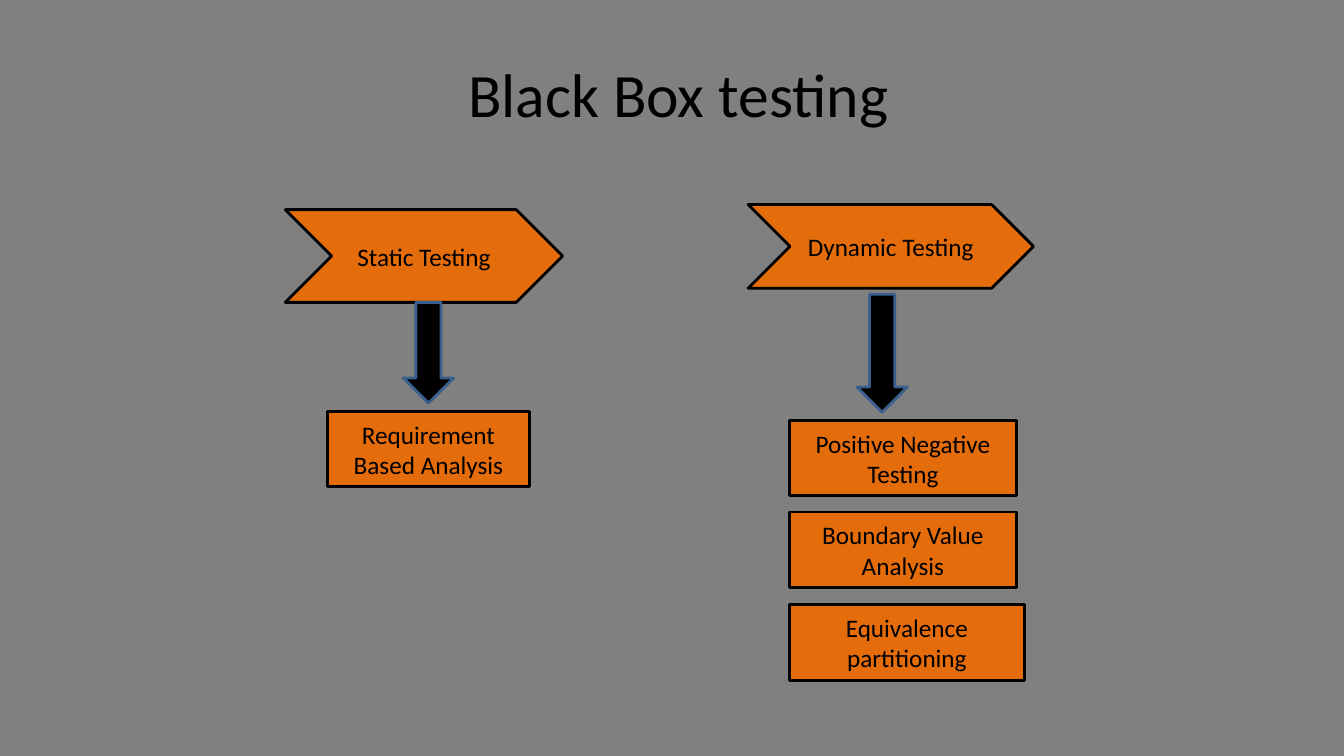
from dataclasses import dataclass

from pptx import Presentation
from pptx.dml.color import RGBColor
from pptx.enum.shapes import MSO_SHAPE
from pptx.enum.text import MSO_ANCHOR, PP_ALIGN
from pptx.slide import Slide
from pptx.util import Emu, Pt

PX = 9144  # 100 px to the inch
COLORS = {
    "back": "808080",
    "box": "E46C0A",
    "ink": "000000",
    "edge": "3A5F8C",
}


@dataclass(frozen=True)
class Node:
    kind: MSO_SHAPE
    left: int
    top: int
    width: int
    height: int
    text: str = ""
    fill: str = "box"
    line: str = "ink"


NODES = [
    Node(MSO_SHAPE.CHEVRON, 283, 208, 275, 92, "Static Testing"),
    Node(MSO_SHAPE.CHEVRON, 742, 203, 283, 83, "Dynamic Testing"),
    Node(MSO_SHAPE.DOWN_ARROW, 400, 300, 50, 100, fill="ink", line="edge"),
    Node(MSO_SHAPE.RECTANGLE, 325, 408, 200, 75, "Requirement Based Analysis"),
    Node(MSO_SHAPE.DOWN_ARROW, 850, 292, 50, 117, fill="ink", line="edge"),
    Node(MSO_SHAPE.RECTANGLE, 783, 417, 225, 75, "Positive Negative Testing"),
    Node(MSO_SHAPE.RECTANGLE, 783, 508, 225, 75, "Boundary Value Analysis"),
    Node(MSO_SHAPE.RECTANGLE, 783, 600, 233, 75, "Equivalence partitioning"),
]


def color(name: str) -> RGBColor:
    return RGBColor.from_string(COLORS[name])


def place(*sides: int) -> list[Emu]:
    """Turn px lengths into EMU."""
    return [Emu(side * PX) for side in sides]


def write(shape, text: str, *, size: int = 18, ink: str = "ink",
          align: PP_ALIGN = PP_ALIGN.CENTER) -> None:
    frame = shape.text_frame
    frame.word_wrap = True
    frame.vertical_anchor = MSO_ANCHOR.MIDDLE
    para = frame.paragraphs[0]
    para.alignment = align
    run = para.add_run()
    run.text = text
    run.font.name = "Calibri"
    run.font.size = Pt(size)
    run.font.color.rgb = color(ink)


def draw_node(slide: Slide, node: Node) -> None:
    shape = slide.shapes.add_shape(
        node.kind, *place(node.left, node.top, node.width, node.height))
    shape.shadow.inherit = False
    shape.fill.solid()
    shape.fill.fore_color.rgb = color(node.fill)
    shape.line.color.rgb = color(node.line)
    shape.line.width = Pt(2)
    if node.text:
        write(shape, node.text)


def main() -> None:
    deck = Presentation()
    deck.slide_width, deck.slide_height = place(1333, 750)
    slide = deck.slides.add_slide(deck.slide_layouts[5])
    slide.background.fill.solid()
    slide.background.fill.fore_color.rgb = color("back")

    title = slide.shapes.title
    title.left, title.top, title.width, title.height = place(66, 30, 1200, 125)
    write(title, " Black Box testing", size=44)
    for node in NODES:
        draw_node(slide, node)
    deck.save("out.pptx")


if __name__ == "__main__":
    main()
